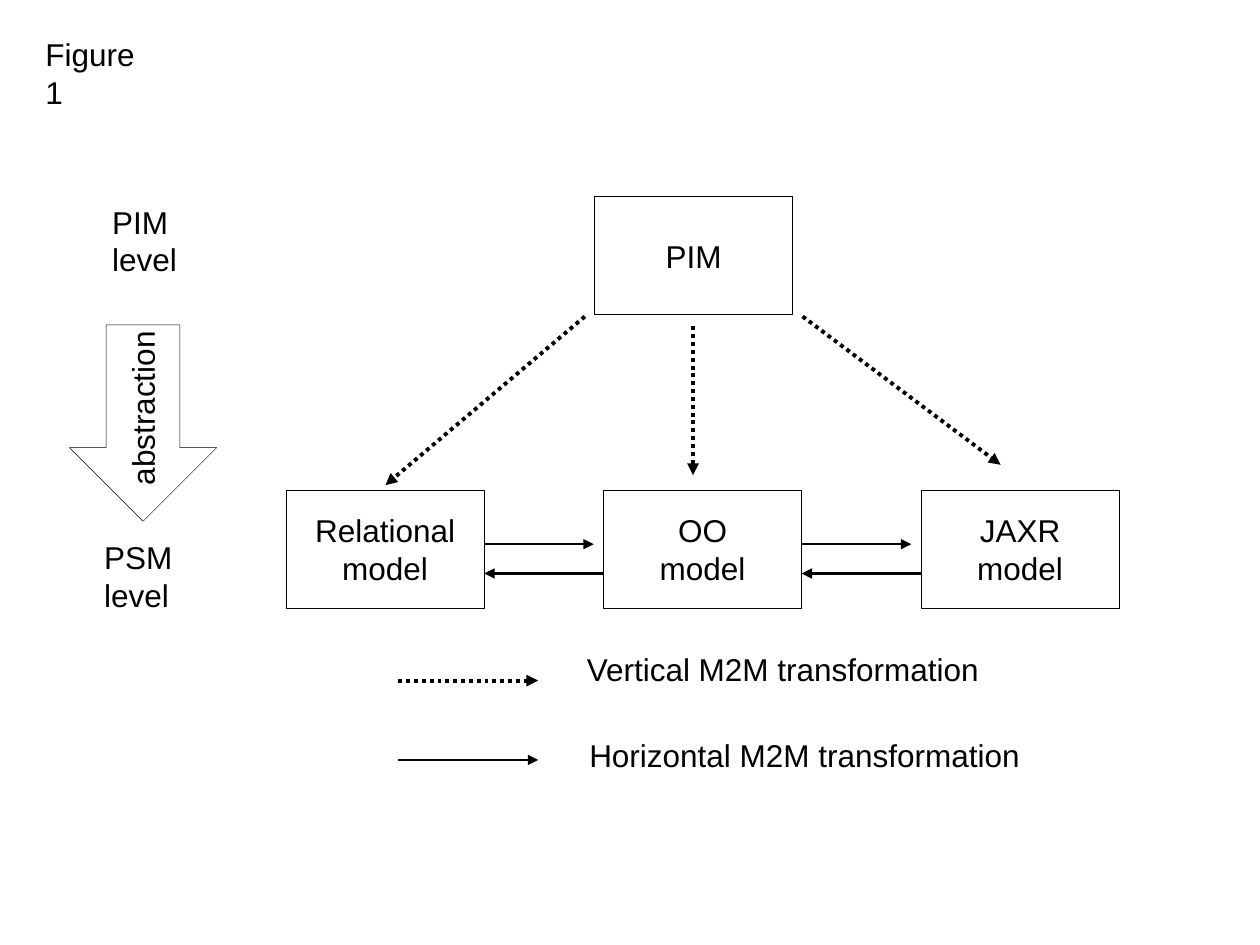
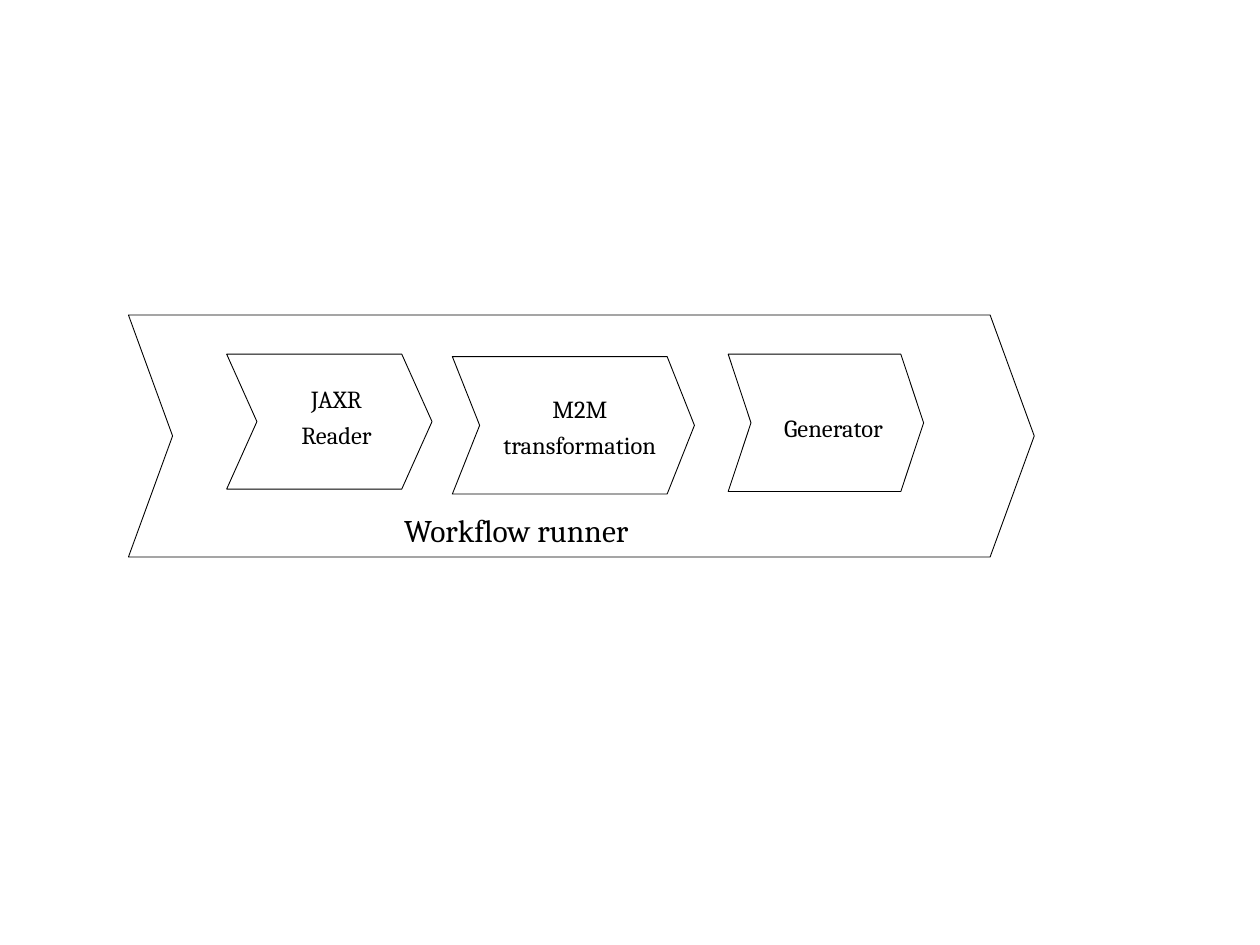
import dataclasses

import pptx
import pptx.dml.color
import pptx.enum.dml
import pptx.enum.shapes
import pptx.enum.text
import pptx.oxml.ns
import pptx.util
from lxml import etree

Cm = pptx.util.Cm
Pt = pptx.util.Pt
Shape = pptx.enum.shapes.MSO_SHAPE
Align = pptx.enum.text.PP_ALIGN
Anchor = pptx.enum.text.MSO_ANCHOR
qn = pptx.oxml.ns.qn


@dataclasses.dataclass(frozen=True)
class Theme:
    ink: pptx.dml.color.RGBColor = pptx.dml.color.RGBColor(0, 0, 0)
    figure_font: str = "Arial"
    workflow_font: str = "Cambria"
    label_size: float = 18
    step_size: float = 14
    outline: float = 0.5
    thin_outline: float = 0.25
    horizontal_line: float = 1.5
    vertical_line: float = 2.25


theme = Theme()


def write(box, lines, face=theme.figure_font, size=theme.label_size,
          align=Align.LEFT, anchor=Anchor.TOP, before=0):
    """Put one paragraph per line into a box; workflow text has no insets."""
    frame = box.text_frame
    frame.auto_size = pptx.enum.text.MSO_AUTO_SIZE.NONE
    frame.vertical_anchor = anchor
    frame.word_wrap = face == theme.workflow_font
    if frame.word_wrap:
        frame.margin_left = frame.margin_right = 0
        frame.margin_top = frame.margin_bottom = 0
    for number, line in enumerate(lines):
        para = frame.add_paragraph() if number else frame.paragraphs[0]
        para.alignment = align
        para.space_before = Pt(before)
        span = para.add_run()
        span.text = line
        span.font.name = face
        span.font.size = Pt(size)
        span.font.color.rgb = theme.ink


def outline(shape, width=theme.outline):
    shape.shadow.inherit = False
    shape.fill.background()
    shape.line.color.rgb = theme.ink
    shape.line.width = Pt(width)


deck = pptx.Presentation()
deck.slide_width, deck.slide_height = Cm(25.4), Cm(19.05)

# Slide 1: model transformations
page = deck.slides.add_slide(deck.slide_layouts[5])
title = page.shapes.title
title.left, title.top, title.width, title.height = Cm(0.66), Cm(0.58), Cm(2.82), Cm(1.02)
write(title, ["Figure 1"])

box_width, box_height = 3.99, 2.38
model_left, model_pitch, model_top = 5.77, 6.4, 9.88
models = [["Relational", "model"], ["OO", "model"], ["JAXR", "model"]]
boxes = [(11.99, 3.96, ["PIM"])]
boxes += [(model_left + i * model_pitch, model_top, lines) for i, lines in enumerate(models)]
for left, top, lines in boxes:
    box = page.shapes.add_shape(Shape.RECTANGLE, Cm(left), Cm(top), Cm(box_width), Cm(box_height))
    outline(box)
    write(box, lines, align=Align.CENTER, anchor=Anchor.MIDDLE)

legend_from, legend_to = 8.03, 10.85
vertical_arrows = [
    (11.79, 6.38, 7.77, 9.78),
    (13.97, 6.58, 13.97, 9.58),
    (16.18, 6.38, 20.17, 9.37),
    (legend_from, 13.72, legend_to, 13.72),
]
horizontal_arrows = [(legend_from, 15.32, legend_to, 15.32)]
for gap in range(len(models) - 1):
    gap_left = model_left + gap * model_pitch + box_width
    gap_right = model_left + (gap + 1) * model_pitch
    horizontal_arrows.append((gap_left, 10.97, gap_right - 0.2, 10.97))
    horizontal_arrows.append((gap_right, 11.56, gap_left, 11.56))

for ends in vertical_arrows + horizontal_arrows:
    arrow = page.shapes.add_connector(
        pptx.enum.shapes.MSO_CONNECTOR.STRAIGHT, *[Cm(value) for value in ends])
    arrow.line.color.rgb = theme.ink
    arrow.line.width = Pt(theme.horizontal_line)
    if ends in vertical_arrows:
        arrow.line.width = Pt(theme.vertical_line)
        arrow.line.dash_style = pptx.enum.dml.MSO_LINE.ROUND_DOT
    etree.SubElement(arrow.get_or_add_ln(), qn("a:tailEnd"), type="triangle")
    etree.SubElement(arrow._element.spPr, qn("a:effectLst"))

for left, top, width, height, lines in [
    (2.01, 3.96, 1.8, 1.78, ["PIM", "level"]),
    (1.85, 10.72, 2.06, 1.78, ["PSM", "level"]),
    (11.58, 12.98, 8.43, 1.02, ["Vertical M2M transformation"]),
    (11.63, 14.71, 9.19, 1.02, ["Horizontal M2M transformation"]),
]:
    label = page.shapes.add_textbox(Cm(left), Cm(top), Cm(width), Cm(height))
    write(label, lines)

down_arrow = page.shapes.add_shape(Shape.DOWN_ARROW, Cm(1.4), Cm(6.55), Cm(2.97), Cm(3.96))
outline(down_arrow, theme.thin_outline)
abstraction = page.shapes.add_textbox(Cm(1.04), Cm(7.72), Cm(3.66), Cm(1.02))
abstraction.rotation = 270
write(abstraction, ["abstraction"], align=Align.CENTER, anchor=Anchor.MIDDLE)

# Slide 2: workflow
page = deck.slides.add_slide(deck.slide_layouts[6])
for left, top, width, height, notch in [
    (2.59, 6.35, 18.26, 4.88, 0.89),
    (4.57, 7.14, 4.14, 2.72, 0.61),
    (9.12, 7.19, 4.88, 2.77, 0.55),
    (14.68, 7.14, 3.94, 2.77, 0.46),
]:
    right, bottom, middle = left + width, top + height, top + height / 2
    corners = [
        (right - notch, top), (right, middle), (right - notch, bottom),
        (left, bottom), (left + notch, middle),
    ]
    builder = page.shapes.build_freeform(Cm(left), Cm(top))
    builder.add_line_segments([(Cm(x), Cm(y)) for x, y in corners], close=True)
    outline(builder.convert_to_shape())

for left, top, width, height, lines in [
    (5.21, 7.75, 3.15, 1.32, ["JAXR", "Reader"]),
    (9.19, 7.95, 5, 1.32, ["M2M", "transformation"]),
    (14.86, 8.33, 3.89, 0.58, ["Generator"]),
]:
    step = page.shapes.add_textbox(Cm(left), Cm(top), Cm(width), Cm(height))
    write(step, lines, theme.workflow_font, theme.step_size, Align.CENTER, before=3.5)

runner = page.shapes.add_textbox(Cm(8.15), Cm(10.31), Cm(6.55), Cm(0.76))
write(runner, ["Workflow runner"], theme.workflow_font, before=4.5)

deck.save("out.pptx")
